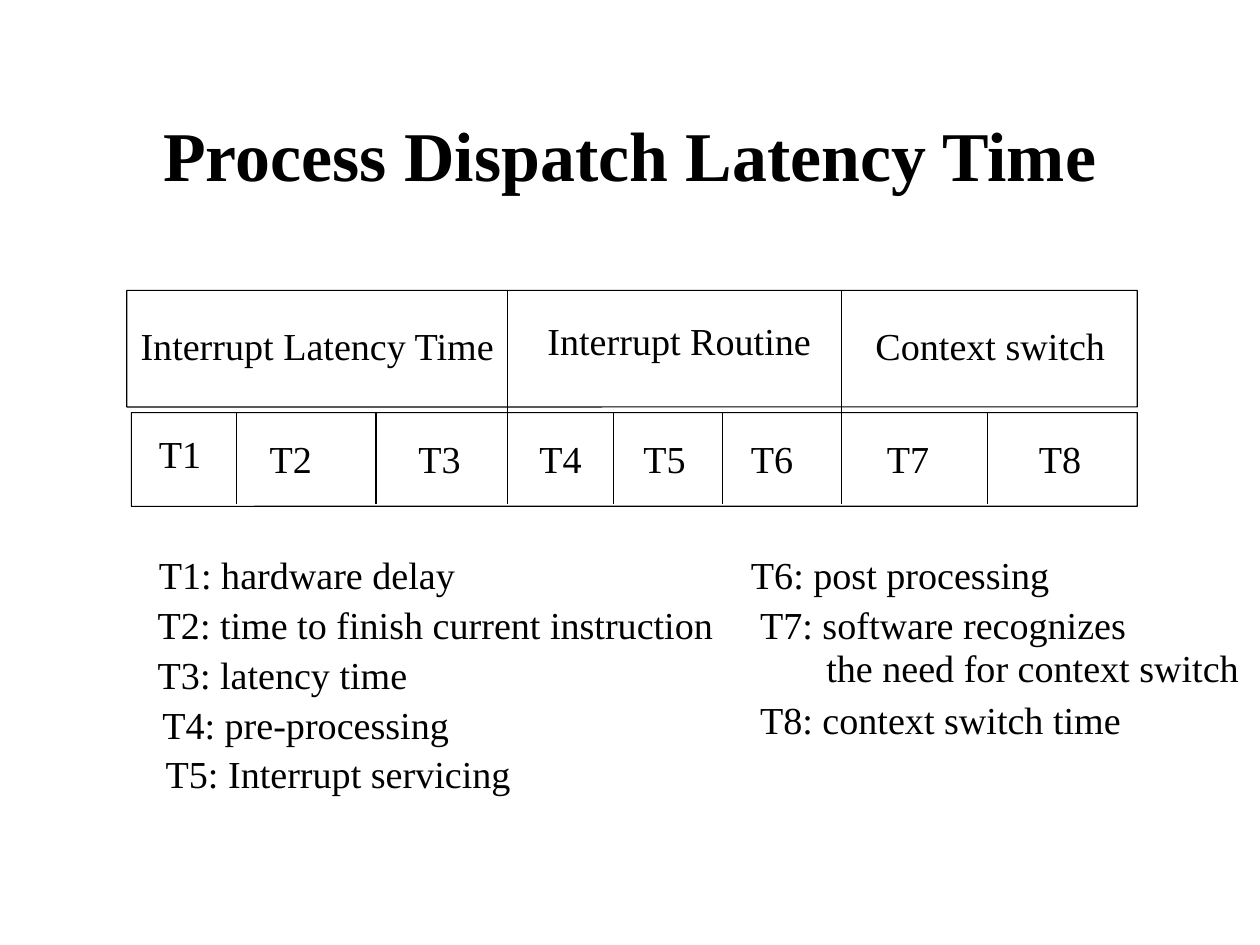
from pptx import Presentation
from pptx import util as u
from pptx.dml.color import RGBColor
from pptx.enum import shapes, text
from pptx.oxml import parse_xml
from pptx.oxml.ns import nsdecls

COLORS = {"ink": "000000"}
FONT = "Times New Roman"
INK = RGBColor.from_string(COLORS["ink"])
LINE_H = 0.38
ROW = 0.435
HANG = 0.58

# name, left and width of label, drop of label
PHASES = [("Interrupt Latency Time", 0.12, 3.12, 0.31),
          ("Interrupt Routine", 3.68, 2.33, 0.27),
          ("Context switch", 6.55, 2.03, 0.31)]
PHASE_ENDS = [3.33, 6.25]
# left of label, drop of label
STEPS = [(0.28, 0.19), (1.25, 0.23), (2.55, 0.23), (3.61, 0.23),
         (4.52, 0.23), (5.46, 0.23), (6.65, 0.23), (7.98, 0.23)]
STEP_ENDS = [0.96, 2.18, 4.26, 5.21, 7.53]

# row, indent, width, lines
LEFT = [(0, 0.01, 2.63, ["T1: hardware delay"]),
        (1, 0, 4.88, ["T2: time to finish current instruction"]),
        (2, 0, 2.21, ["T3: latency time"]),
        (3, 0.04, 2.53, ["T4: pre-processing"]),
        (4, 0.07, 3.04, ["T5: Interrupt servicing"])]
RIGHT = [(0, 0, 2.65, ["T6: post processing"]),
         (1, 0.08, 4.21, ["T7: software recognizes",
                          "the need for context switch"]),
         (2.9, 0.08, 3.18, ["T8: context switch time"])]


def style(para, size, bold=False):
    para.line_spacing = 0.94
    for run in para.runs:
        run.font.name = FONT
        run.font.size = u.Pt(size)
        run.font.bold = bold
        run.font.color.rgb = INK


def clear(frame):
    frame.margin_left = frame.margin_right = 0
    frame.margin_top = frame.margin_bottom = 0


def label(slide, x, y, w, lines):
    """Place unwrapped lines; those after the first are indented."""
    box = slide.shapes.add_textbox(u.Inches(x), u.Inches(y), u.Inches(w),
                                   u.Inches(LINE_H * len(lines)))
    frame = box.text_frame
    clear(frame)
    frame.word_wrap = False
    frame.auto_size = text.MSO_AUTO_SIZE.SHAPE_TO_FIT_TEXT
    frame.text = "\n".join(lines)
    for i, para in enumerate(frame.paragraphs):
        if i:
            para._p.get_or_add_pPr().set("marL", str(u.Inches(HANG)))
        style(para, 24)


def band(slide, x, y, w, h):
    bar = slide.shapes.add_shape(shapes.MSO_SHAPE.ROUNDED_RECTANGLE,
                                 *map(u.Inches, (x, y, w, h)))
    bar.adjustments[0] = 0.002
    bar.shadow.inherit = False
    bar.fill.background()
    bar.line.color.rgb = INK
    bar.line.width = u.Pt(0.75)


def divide(slide, x, top, end):
    rule = slide.shapes.add_connector(
        shapes.MSO_CONNECTOR.STRAIGHT, *map(u.Inches, (x, top, x, end)))
    rule.line.color.rgb = INK
    rule.line.width = u.Pt(0.75)
    rule._element.spPr.append(parse_xml(f"<a:effectLst {nsdecls('a')}/>"))


def heading(slide, x, y, w, h):
    title = slide.shapes.title
    title.left, title.top, title.width, title.height = map(
        u.Inches, (x, y, w, h))
    frame = title.text_frame
    clear(frame)
    frame.vertical_anchor = text.MSO_ANCHOR.MIDDLE
    frame.text = "Process Dispatch Latency Time"
    frame.paragraphs[0].alignment = text.PP_ALIGN.CENTER
    style(frame.paragraphs[0], 44, True)


def timeline(slide, x, y, w, h):
    """Draw the phases above the steps they are made of."""
    low = y + 1.07
    end = y + h - 0.02
    band(slide, x + 0.04, low, w - 0.04, y + h - low)
    band(slide, x, y, w, 1.02)
    for name, left, wide, drop in PHASES:
        label(slide, x + left, y + drop, wide, [name])
    for left in PHASE_ENDS:
        divide(slide, x + left, y + 0.01, end)
    for left in STEP_ENDS:
        divide(slide, x + left, low, end)
    for i, (left, drop) in enumerate(STEPS, 1):
        label(slide, x + left, low + drop, 0.37, [f"T{i}"])


def legend(slide, x, y, items):
    for row, indent, wide, lines in items:
        label(slide, x + indent, y + row * ROW, wide, lines)


def main():
    deck = Presentation()
    deck.slide_width = u.Cm(28)
    deck.slide_height = u.Cm(21)
    slide = deck.slides.add_slide(deck.slide_layouts[5])
    heading(slide, 0.81, 0.69, 9.41, 1.38)
    timeline(slide, 1.11, 2.54, 8.84, 1.89)
    legend(slide, 1.38, 4.86, LEFT)
    legend(slide, 6.57, 4.86, RIGHT)
    deck.save("out.pptx")


if __name__ == "__main__":
    main()
